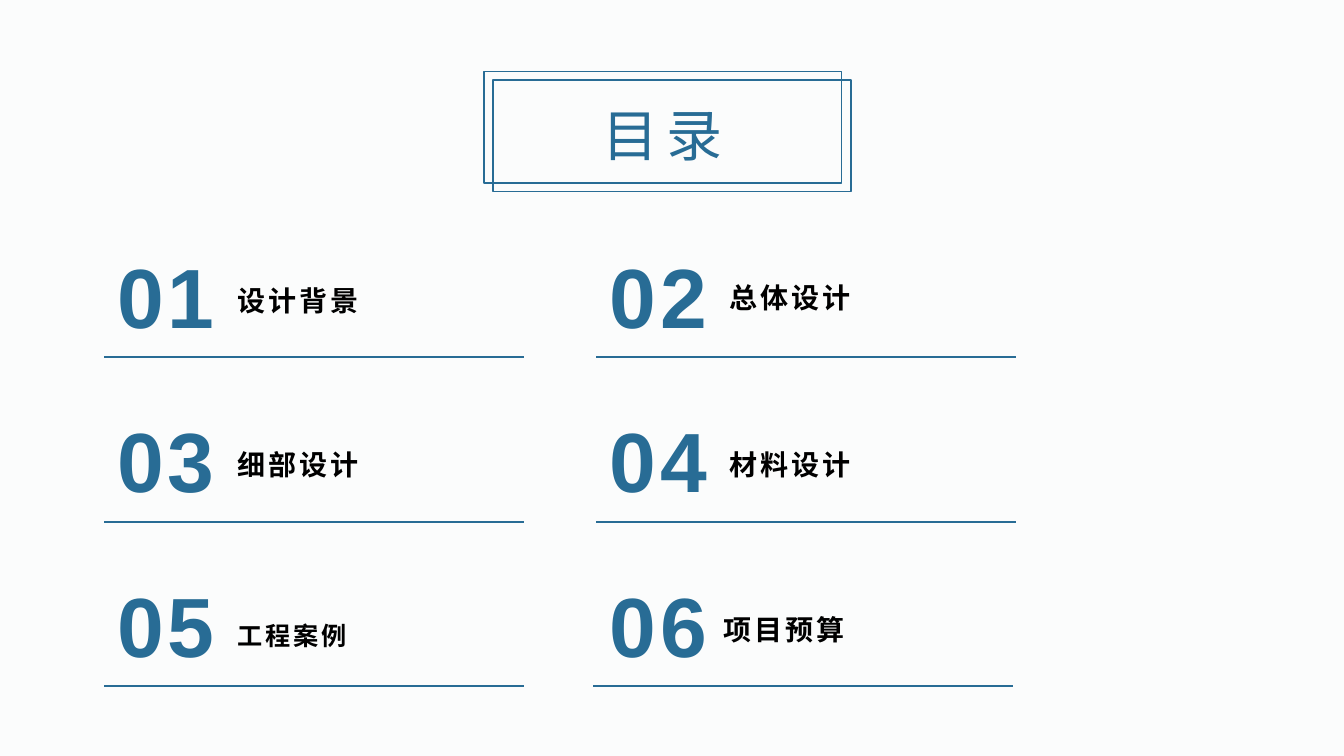
from dataclasses import dataclass

from lxml import etree
from pptx import Presentation
from pptx import util as u
from pptx.dml.color import RGBColor
from pptx.enum import shapes, text
from pptx.oxml.ns import qn


@dataclass(frozen=True)
class Theme:
    background: str = "FBFCFC"
    accent: str = "286C95"
    ink: str = "000000"
    font: str = "Arial"
    title: int = 40
    number: int = 60
    label: int = 20
    small_label: int = 18
    frame_line: float = 1
    rule_line: float = 1.5


class Canvas:
    COLUMNS, ROWS = 160, 90

    def __init__(self, presentation, theme):
        self.theme = theme
        self.slide = presentation.slides.add_slide(presentation.slide_layouts[6])
        self.column = presentation.slide_width / self.COLUMNS
        self.row = presentation.slide_height / self.ROWS
        fill = self.slide.background.fill
        fill.solid()
        fill.fore_color.rgb = RGBColor.from_string(theme.background)

    def place(self, left, top, width, height):
        return (round(left * self.column), round(top * self.row),
                round(width * self.column), round(height * self.row))

    def text(self, words, box, size, color, spacing, bold=True, centred=True,
             anchor=text.MSO_ANCHOR.BOTTOM, line_spacing=None, bottom=0.05):
        frame = self.slide.shapes.add_textbox(*self.place(*box)).text_frame
        frame.word_wrap = True
        frame.vertical_anchor = anchor
        frame.margin_bottom = u.Inches(bottom)
        paragraph = frame.paragraphs[0]
        paragraph.text = words
        paragraph.alignment = text.PP_ALIGN.CENTER if centred else text.PP_ALIGN.LEFT
        paragraph.line_spacing = line_spacing
        font = paragraph.font
        font.name, font.size, font.bold = self.theme.font, u.Pt(size), bold
        font.color.rgb = RGBColor.from_string(color)
        properties = paragraph._p.get_or_add_pPr().get_or_add_defRPr()
        properties.set("spc", str(spacing * 100))

    def frame(self, *box):
        shape = self.slide.shapes.add_shape(
            shapes.MSO_SHAPE.RECTANGLE, *self.place(*box))
        shape.shadow.inherit = False
        shape.fill.background()
        self.outline(shape, self.theme.frame_line)

    def rule(self, left, top, length):
        x, y, width, _ = self.place(left, top, length, 0)
        connector = self.slide.shapes.add_connector(
            shapes.MSO_CONNECTOR.STRAIGHT, x, y, x + width, y)
        self.outline(connector, self.theme.rule_line)
        etree.SubElement(connector._element.spPr, qn("a:effectLst"))

    def outline(self, shape, width):
        shape.line.color.rgb = RGBColor.from_string(self.theme.accent)
        shape.line.width = u.Pt(width)

    def heading(self, words):
        self.text(words, (64.2, 10.9, 29.4, 9.6), self.theme.title,
                  self.theme.accent, 6, bold=False)
        for step in range(2):
            self.frame(57.6 + 1.1 * step, 8.5 + step, 42.6, 13.3)

    def entry(self, index, words, label_x=14.7, label_y=4.3, label_width=18,
              size=None, line_spacing=1.1, rule_x=0):
        row, column = divmod(index, 2)
        left, top = 12.4 + 58.6 * column, 28.4 + 19.6 * row
        self.text(words, (left + label_x, top + label_y, label_width, 5),
                  size or self.theme.label, self.theme.ink, 2, centred=False,
                  line_spacing=line_spacing, bottom=0)
        self.text(f"{index + 1:02}", (left, top, 14.7, 13.3), self.theme.number,
                  self.theme.accent, 3, anchor=text.MSO_ANCHOR.MIDDLE)
        self.rule(left + rule_x, top + 14.1, 50)


def main():
    presentation = Presentation()
    presentation.slide_width = u.Inches(13.33)
    presentation.slide_height = u.Inches(7.5)
    theme = Theme()
    canvas = Canvas(presentation, theme)
    entries = [
        ("设计背景", {"label_width": 35}),
        ("总体设计", {"label_width": 35, "label_y": 4}),
        ("细部设计", {}),
        ("材料设计", {}),
        ("工程案例", {"label_y": 4.8, "size": theme.small_label, "line_spacing": 1.2}),
        ("项目预算", {"label_x": 14, "rule_x": -0.4}),
    ]
    canvas.heading("目录")
    for index, (words, options) in enumerate(entries):
        canvas.entry(index, words, **options)
    presentation.save("out.pptx")


if __name__ == "__main__":
    main()
